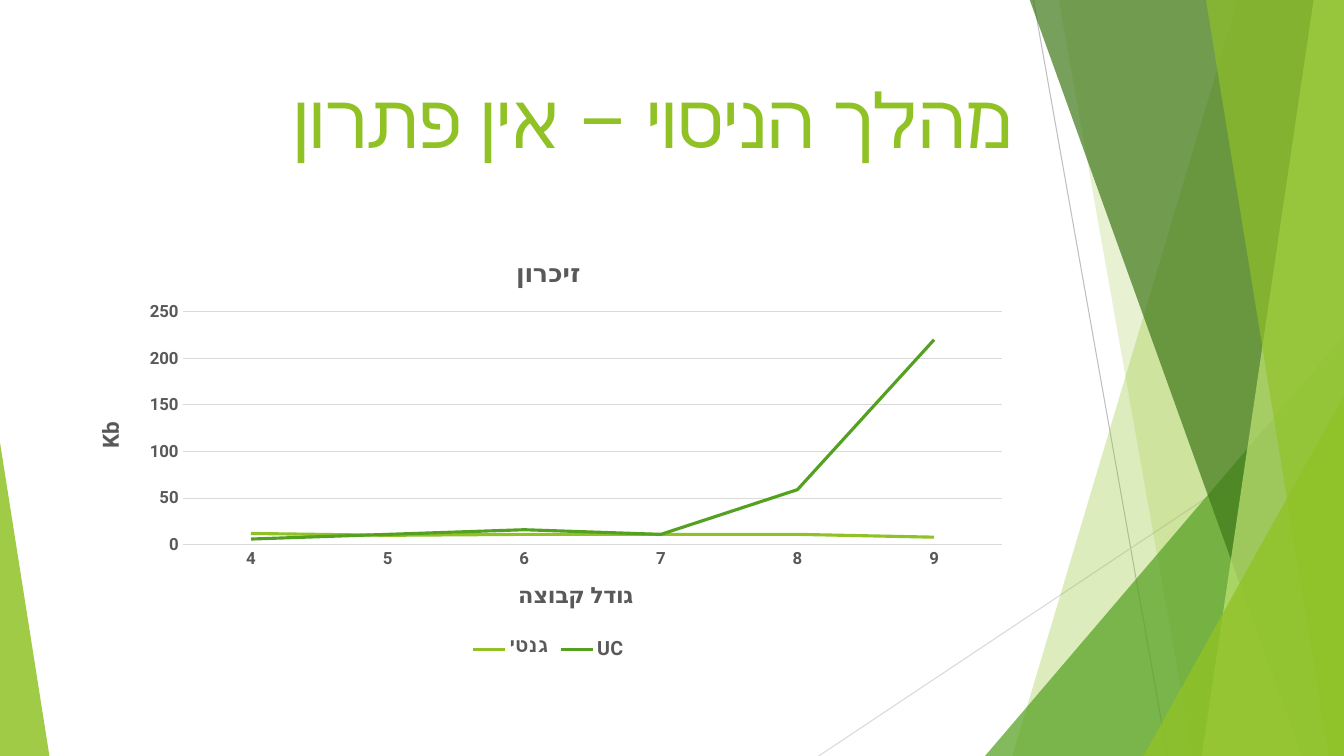
"""Build the slide on memory use in the experiment with no solution."""
from lxml import etree
from pptx import Presentation
from pptx import util as u
from pptx.chart.data import CategoryChartData
from pptx.dml.color import RGBColor
from pptx.enum import chart as charts, shapes, text
from pptx.oxml import parse_xml
from pptx.oxml.ns import nsdecls, qn

LIME = RGBColor(0x90, 0xC2, 0x26)
GREEN = RGBColor(0x54, 0xA0, 0x21)
FOREST = RGBColor(0x3F, 0x78, 0x19)
PALE = RGBColor(0xC0, 0xE4, 0x74)
GREY = RGBColor(0x59, 0x59, 0x59)
SILVER = RGBColor(0xBF, 0xBF, 0xBF)
RULE = RGBColor(0xD9, 0xD9, 0xD9)
FONT = "Roboto"
WIDTH, HEIGHT, TOP = 13.33, 7.5, -0.01

TITLE = "מהלך הניסוי – אין פתרון"
CHART_TITLE, CATEGORY_TITLE, VALUE_TITLE = "זיכרון", "גודל קבוצה", "Kb"
GROUP_SIZES = ["4", "5", "6", "7", "8", "9"]
MEMORY = [
    ("גנטי", (12, 10, 11, 11, 11, 8), LIME),
    ("UC", (6, 11, 16, 11, 59, 220), GREEN),
]
PLOT_AREA = {"x": 0.114, "y": 0.173, "w": 0.865, "h": 0.545}

LINES = [((10.25, 0), (11.58, HEIGHT), SILVER), ((WIDTH, 4.03), (8.12, HEIGHT), RULE)]
DECORATION = [
    ("band", (12.28, 10.04), LIME, 30),
    ("band", (10.5, 11.83), LIME, 20),
    ("triangle", (9.77, 3.33, 3.56, 1), GREEN, 72),
    ("band", (10.21, 12.91), FOREST, 70),
    ("band", (13.03, 11.92), PALE, 70),
    ("band", (11.96, 13.18), LIME, 65),
    ("triangle", (11.34, 3.93, 1.99, 1), LIME, 80),
    ("triangle", (0, 4.39, 0.49, 0), LIME, 85),
]


def add_line(slide, start, end, color):
    ends = [u.Inches(value) for value in (*start, *end)]
    line = slide.shapes.add_connector(shapes.MSO_CONNECTOR.STRAIGHT, *ends)
    line.line.color.rgb = color
    line.line.width = u.Pt(0.75)
    etree.SubElement(line._element.spPr, qn("a:effectLst"))


def add_band(slide, top_x, bottom_x):
    builder = slide.shapes.build_freeform(u.Inches(top_x), u.Inches(TOP))
    corners = [(WIDTH, TOP), (WIDTH, HEIGHT), (bottom_x, HEIGHT)]
    builder.add_line_segments([(u.Inches(x), u.Inches(y)) for x, y in corners])
    return builder.convert_to_shape()


def add_triangle(slide, left, top, width, apex):
    box = [u.Inches(value) for value in (left, top, width, HEIGHT - top)]
    shape = slide.shapes.add_shape(shapes.MSO_SHAPE.ISOSCELES_TRIANGLE, *box)
    shape.adjustments[0] = apex
    return shape


def paint(shape, color, opacity):
    shape.shadow.inherit = False
    shape.line.fill.background()
    shape.fill.solid()
    shape.fill.fore_color.rgb = color
    color_element = shape._element.spPr.find(qn("a:solidFill"))[0]
    etree.SubElement(color_element, qn("a:alpha"), val=str(opacity * 1000))


def set_font(font, size, color, bold):
    for name, value in {"size": u.Pt(size), "bold": bold, "name": FONT}.items():
        setattr(font, name, value)
    font.color.rgb = color


def write(frame, words, size, color, bold, right_to_left=True):
    paragraph = frame.paragraphs[0]
    if right_to_left:
        paragraph._p.get_or_add_pPr().set("rtl", "1")
    run = paragraph.add_run()
    run.text = words
    set_font(run.font, size, color, bold)
    etree.SubElement(run._r.get_or_add_rPr(), qn("a:cs"), typeface=FONT)
    return paragraph


def add_title(slide):
    box = slide.shapes.add_textbox(*map(u.Inches, (0.74, 0.67, 9.4, 1.44)))
    frame = box.text_frame
    frame.word_wrap = True
    frame.vertical_anchor = text.MSO_ANCHOR.TOP
    paragraph = write(frame, TITLE, 54, LIME, False)
    paragraph.alignment = text.PP_ALIGN.RIGHT


def style_axis(axis, title, right_to_left):
    write(axis.axis_title.text_frame, title, 16, GREY, True, right_to_left)
    axis.major_tick_mark = axis.minor_tick_mark = charts.XL_TICK_MARK.NONE
    set_font(axis.tick_labels.font, 12, GREY, True)


def place_plot(chart):
    plot_area = chart._chartSpace.chart.plotArea
    for layout in plot_area.findall(qn("c:layout")):
        plot_area.remove(layout)
    modes = '<c:layoutTarget val="inner"/><c:xMode val="edge"/><c:yMode val="edge"/>'
    sizes = "".join(f'<c:{side} val="{value}"/>' for side, value in PLOT_AREA.items())
    plot_area.insert(0, parse_xml(
        f'<c:layout {nsdecls("c")}><c:manualLayout>{modes}{sizes}</c:manualLayout></c:layout>'))


def add_memory_chart(slide):
    data = CategoryChartData()
    data.categories = GROUP_SIZES
    for name, values, _ in MEMORY:
        data.add_series(name, values)
    box = map(u.Inches, (0.74, 2.36, 9.4, 4.24))
    chart = slide.shapes.add_chart(charts.XL_CHART_TYPE.LINE, *box, data).chart
    chart.font.name = FONT
    chart.font.size = u.Pt(10)
    write(chart.chart_title.text_frame, CHART_TITLE, 18, GREY, True)
    chart.chart_title.include_in_layout = False
    chart.has_legend = True
    chart.legend.position = charts.XL_LEGEND_POSITION.BOTTOM
    chart.legend.include_in_layout = False
    set_font(chart.legend.font, 14, GREY, True)

    style_axis(chart.category_axis, CATEGORY_TITLE, True)
    style_axis(chart.value_axis, VALUE_TITLE, False)
    value_axis = chart.value_axis
    for name, value in {"minimum_scale": 0, "maximum_scale": 250, "major_unit": 50}.items():
        setattr(value_axis, name, value)
    value_axis.format.line.fill.background()
    for line in (chart.category_axis.format.line, value_axis.major_gridlines.format.line):
        line.color.rgb = RULE
        line.width = u.Pt(0.75)

    plot = chart.plots[0]
    plot.vary_by_categories = False
    for series, (_, _, color) in zip(plot.series, MEMORY):
        series.smooth = False
        series.marker.style = charts.XL_MARKER_STYLE.NONE
        series.format.line.color.rgb = color
        series.format.line.width = u.Pt(2.25)
    place_plot(chart)


def main():
    presentation = Presentation()
    presentation.slide_width = u.Inches(WIDTH)
    presentation.slide_height = u.Inches(HEIGHT)
    slide = presentation.slides.add_slide(presentation.slide_layouts[6])
    for start, end, color in LINES:
        add_line(slide, start, end, color)
    builders = {"band": add_band, "triangle": add_triangle}
    for kind, geometry, color, opacity in DECORATION:
        paint(builders[kind](slide, *geometry), color, opacity)
    add_memory_chart(slide)
    add_title(slide)
    presentation.save("out.pptx")


if __name__ == "__main__":
    main()
